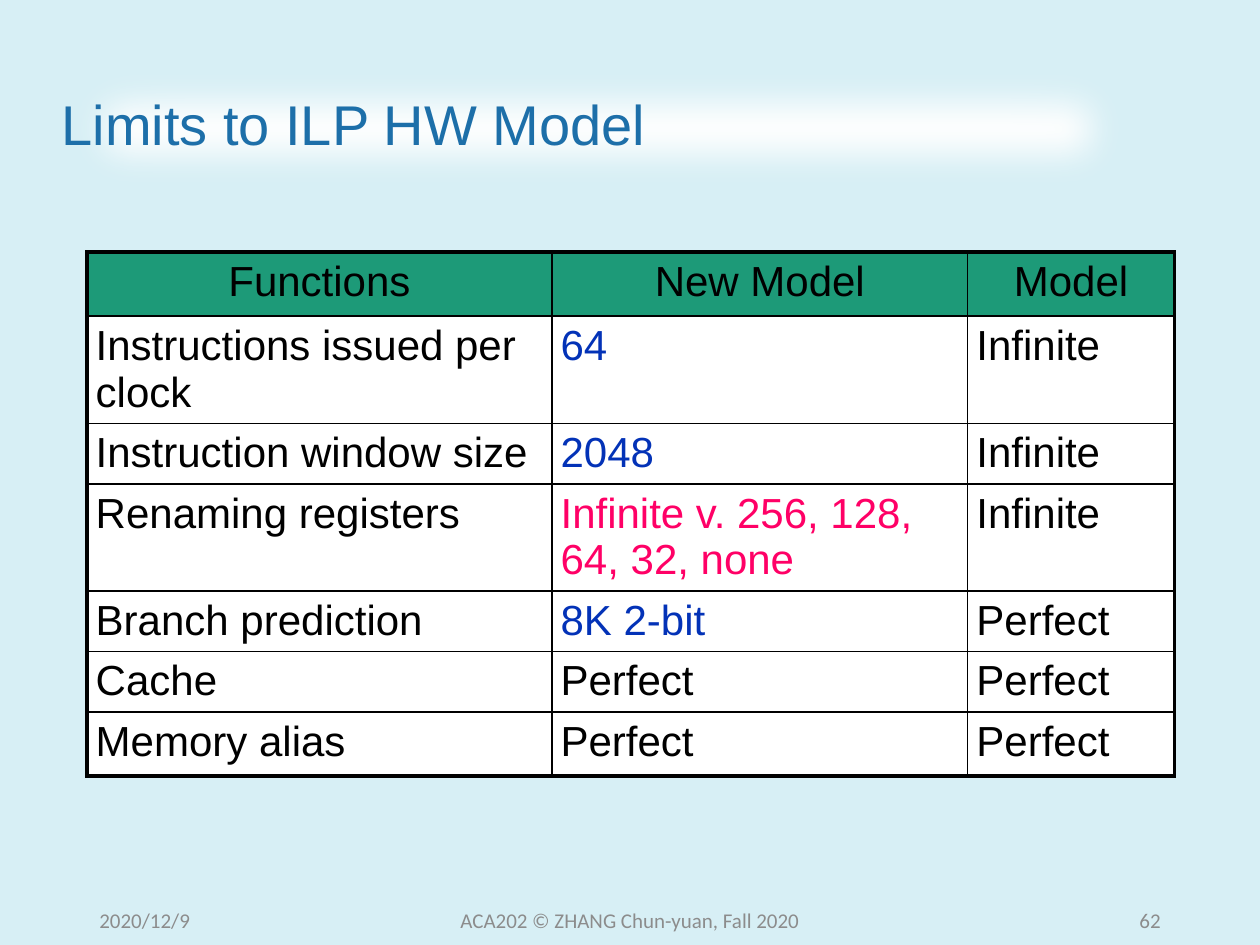
from dataclasses import dataclass

from lxml.etree import SubElement
from pptx import Presentation
from pptx.dml.color import RGBColor
from pptx.enum.shapes import MSO_SHAPE
from pptx.enum.text import MSO_ANCHOR, PP_ALIGN
from pptx.oxml.ns import qn
from pptx.util import Inches, Pt


@dataclass(frozen=True)
class Theme:
    background: str = "D7EFF5"
    white: str = "FFFFFF"
    black: str = "000000"
    title: str = "1D6FA9"
    header: str = "1D9A78"
    blue: str = "0332B7"
    pink: str = "FF0066"
    footer: str = "8C8C8C"
    body_font: str = "Arial"
    footer_font: str = "Calibri"
    title_size: int = 32
    table_size: int = 24
    footer_size: int = 12
    outer_line: float = 2.25
    inner_line: float = 1


THEME = Theme()

COLUMNS = [3.69, 3.3, 1.64]
ROW_HEIGHTS = [0.51, 0.85, 0.48, 0.85, 0.48, 0.48, 0.51]
HEADINGS = ["Functions", "New Model", "Model"]
# Function, new model, colour of the new model, ideal model
MODELS = [
    ("Instructions issued per clock", "64", THEME.blue, "Infinite"),
    ("Instruction window size", "2048", THEME.blue, "Infinite"),
    ("Renaming registers", "Infinite v. 256, 128, 64, 32, none", THEME.pink, "Infinite"),
    ("Branch prediction", "8K 2-bit", THEME.blue, "Perfect"),
    ("Cache", "Perfect", THEME.black, "Perfect"),
    ("Memory alias", "Perfect", THEME.black, "Perfect"),
]


def set_fill(fill, color):
    fill.solid()
    fill.fore_color.rgb = RGBColor.from_string(color)


def write(tf, text, size, color, font=THEME.body_font, align=PP_ALIGN.LEFT):
    tf.word_wrap = True
    p = tf.paragraphs[0]
    p.alignment = align
    r = p.add_run()
    r.text = text
    r.font.size = Pt(size)
    r.font.name = font
    r.font.color.rgb = RGBColor.from_string(color)
    return p


def set_borders(cell, widths):
    """Draw the cell's borders; widths are in points, keyed L, R, T, B."""
    tc_pr = cell._tc.get_or_add_tcPr()
    for i, (side, width) in enumerate(widths.items()):
        ln = SubElement(tc_pr, qn(f"a:ln{side}"), w=str(Pt(width)))
        SubElement(SubElement(ln, qn("a:solidFill")), qn("a:srgbClr"), val=THEME.black)
        tc_pr.insert(i, ln)  # borders come before the fill


def add_title(s, left, top, width, height):
    sp = s.shapes.add_shape(MSO_SHAPE.RECTANGLE, Inches(left), Inches(top),
                            Inches(width), Inches(height))
    sp.shadow.inherit = False
    set_fill(sp.fill, THEME.white)
    sp.line.fill.background()
    # Soft white glow behind the title
    effects = sp._element.spPr.find(qn("a:effectLst"))
    SubElement(effects, qn("a:softEdge"), rad=str(Pt(25)))
    tf = sp.text_frame
    tf.vertical_anchor = MSO_ANCHOR.MIDDLE
    p = write(tf, "Limits to ILP HW Model", THEME.title_size, THEME.title)
    p.line_spacing = 0.9


def add_model_table(s, left, top):
    rows, cols = len(ROW_HEIGHTS), len(COLUMNS)
    table = s.shapes.add_table(rows, cols, Inches(left), Inches(top),
                               Inches(sum(COLUMNS)), Inches(sum(ROW_HEIGHTS))).table
    table.horz_banding = False
    for column, width in zip(table.columns, COLUMNS):
        column.width = Inches(width)
    for row, height in zip(table.rows, ROW_HEIGHTS):
        row.height = Inches(height)

    contents = [[(h, THEME.black) for h in HEADINGS]]
    for function, new, color, ideal in MODELS:
        contents.append([(function, THEME.black), (new, color), (ideal, THEME.black)])

    for i, line in enumerate(contents):
        for j, (text, color) in enumerate(line):
            cell = table.cell(i, j)
            cell.margin_left = cell.margin_right = Inches(0.07)
            cell.margin_top = cell.margin_bottom = Inches(0.05)
            set_fill(cell.fill, THEME.white if i else THEME.header)
            write(cell.text_frame, text, THEME.table_size, color,
                  align=PP_ALIGN.LEFT if i else PP_ALIGN.CENTER)
            outer = {"L": j == 0, "R": j == cols - 1, "T": i == 0, "B": i == rows - 1}
            set_borders(cell, {side: THEME.outer_line if edge else THEME.inner_line
                               for side, edge in outer.items()})


def add_footer(s, top, height):
    parts = [
        ("2020/12/9", 0.69, 2.25, PP_ALIGN.LEFT),
        ("ACA202 © ZHANG Chun-yuan, Fall 2020", 3.31, 3.38, PP_ALIGN.CENTER),
        ("62", 7.06, 2.25, PP_ALIGN.RIGHT),
    ]
    for text, left, width, align in parts:
        box = s.shapes.add_textbox(Inches(left), Inches(top), Inches(width), Inches(height))
        box.text_frame.vertical_anchor = MSO_ANCHOR.MIDDLE
        write(box.text_frame, text, THEME.footer_size, THEME.footer,
              THEME.footer_font, align)


def main():
    prs = Presentation()
    prs.slide_width, prs.slide_height = Inches(10), Inches(7.5)
    s = prs.slides.add_slide(prs.slide_layouts[6])
    set_fill(s.background.fill, THEME.background)
    add_title(s, 0.39, 0.4, 8.69, 1.23)
    add_model_table(s, 0.69, 2)
    add_footer(s, 7.1, 0.4)
    prs.save("out.pptx")


if __name__ == "__main__":
    main()
